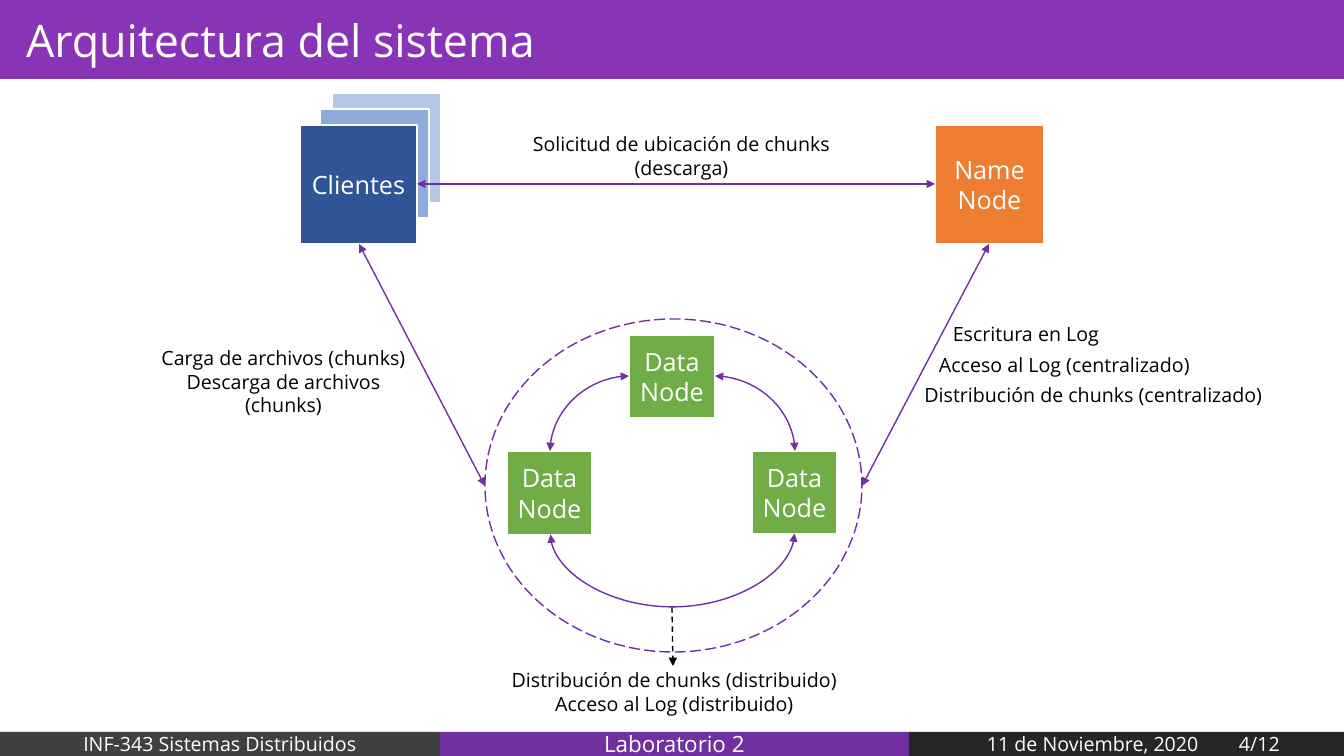
from dataclasses import dataclass

from lxml import etree
from pptx import Presentation
from pptx import util as u
from pptx.dml.color import RGBColor
from pptx.enum import dml, shapes, text
from pptx.oxml.ns import qn

PX = 914400 / 100.8
FONT = "Open Sans"
COLORS = {
    "title": "8834B6", "purple": "7030A0", "gray": "404040", "dark": "262626",
    "white": "FFFFFF", "black": "000000", "data": "70AD47", "name": "ED7D31",
    "back": "B4C7E7", "middle": "8FAADC", "front": "2F5597",
}
LABEL_FORMAT = {"word_wrap": False, "auto_size": text.MSO_AUTO_SIZE.SHAPE_TO_FIT_TEXT}
TITLE_FORMAT = {**LABEL_FORMAT, "word_wrap": True, "vertical_anchor": text.MSO_ANCHOR.TOP}
BLOCK_FORMAT = {"vertical_anchor": text.MSO_ANCHOR.MIDDLE}
CENTER, LEFT = text.PP_ALIGN.CENTER, text.PP_ALIGN.LEFT
STRAIGHT, CURVE = shapes.MSO_CONNECTOR.STRAIGHT, shapes.MSO_CONNECTOR.CURVE


@dataclass
class Block:
    """A filled rectangle with optional text."""
    left: int
    top: int
    width: int
    height: int
    color: str
    lines: tuple = ()
    size: int = 18
    outlined: bool = True


@dataclass
class Label:
    """Free text in a box."""
    left: int
    top: int
    width: int
    lines: tuple


@dataclass
class Arrow:
    """A connector between two points."""
    start: tuple
    end: tuple
    kind: int = STRAIGHT
    color: str = "purple"
    heads: tuple = ("headEnd", "tailEnd")


def px(value: float) -> int:
    """Turn pixels into EMU."""
    return u.Emu(round(value * PX))


def rgb(name: str) -> RGBColor:
    """Look up a named colour."""
    return RGBColor.from_string(COLORS[name])


def write(frame, lines: tuple, size: int, color: str, settings: dict, align=CENTER) -> None:
    """Fill a text frame, one paragraph per line."""
    for key, value in settings.items():
        setattr(frame, key, value)
    frame.text = "\n".join(lines)
    for paragraph in frame.paragraphs:
        paragraph.alignment = align
        font = paragraph.font if not paragraph.runs else paragraph.runs[0].font
        for key, value in {"name": FONT, "size": u.Pt(size)}.items():
            setattr(font, key, value)
        font.color.rgb = rgb(color)


def draw_block(slide, block: Block):
    """Draw a rectangle and its centred text."""
    box = (block.left, block.top, block.width, block.height)
    rect = slide.shapes.add_shape(shapes.MSO_SHAPE.RECTANGLE, *map(px, box))
    rect.shadow.inherit = False
    rect.fill.solid()
    rect.fill.fore_color.rgb = rgb(block.color)
    if block.outlined:
        rect.line.color.rgb = rgb("white")
        rect.line.width = u.Pt(1.5)
    else:
        rect.line.fill.background()
    if block.lines:
        write(rect.text_frame, block.lines, block.size, "white", BLOCK_FORMAT)
    return rect


def draw_label(slide, label: Label) -> None:
    """Draw a text box as high as its lines."""
    height = 11 + 23 * len(label.lines)
    box = slide.shapes.add_textbox(*map(px, (label.left, label.top, label.width, height)))
    write(box.text_frame, label.lines, 14, "black", LABEL_FORMAT)


def draw_arrow(slide, arrow: Arrow):
    """Draw a connector with triangle heads."""
    link = slide.shapes.add_connector(arrow.kind, *map(px, arrow.start + arrow.end))
    link.line.color.rgb = rgb(arrow.color)
    link.line.width = u.Pt(1)
    if arrow.color == "black":
        link.line.dash_style = dml.MSO_LINE.DASH
    properties = link._element.spPr
    for head in arrow.heads:
        etree.SubElement(properties.find(qn("a:ln")), qn(f"a:{head}"), type="triangle")
    etree.SubElement(properties, qn("a:effectLst"))
    return link


def draw_footer_date(bar) -> None:
    """Place the date and the page number on one line with a tab stop."""
    write(bar.text_frame, ("11 de Noviembre, 2020\t4/12",), 14, "white",
          {**BLOCK_FORMAT, "margin_left": 0, "margin_right": 0}, LEFT)
    properties = bar.text_frame.paragraphs[0]._p.get_or_add_pPr()
    properties.set("marL", str(px(78)))
    properties.set("indent", "0")
    stops = etree.SubElement(properties, qn("a:tabLst"))
    etree.SubElement(stops, qn("a:tab"), pos=str(px(361)), algn="l")


def draw_quarter_arc(slide, arrow: Arrow) -> None:
    """Draw a curve that leaves level and arrives upright."""
    arc = draw_arrow(slide, arrow)
    arc._element.spPr.find(qn("a:prstGeom")).set("prst", "curvedConnector2")


def draw_bottom_arc(slide, left: int, right: int, y: int, depth: int) -> None:
    """Draw a curve hanging between two points of equal height."""
    middle, half = (left + right) // 2, (right - left) // 2
    arc = draw_arrow(slide, Arrow((middle + 1, y + half), (middle, y - half), CURVE))
    properties = arc._element.spPr
    properties.find(qn("a:xfrm")).set("rot", "5400000")
    guides = properties.find(qn("a:prstGeom")).get_or_add_avLst()
    etree.SubElement(guides, qn("a:gd"), name="adj1", fmla=f"val {-depth * 100000}")


DATA = ("Data", "Node")
FOOTER = [
    Block(0, 732, 440, 24, "gray", ("INF-343 Sistemas Distribuidos",), 14, False),
    Block(440, 732, 469, 24, "purple", ("Laboratorio 2",), 16, False),
]
NODES = [
    Block(629, 335, 86, 83, "data", DATA),
    Block(935, 125, 109, 119, "name", ("Name Node",)),
    Block(332, 93, 109, 110, "back"),
    Block(320, 109, 109, 109, "middle"),
    Block(300, 125, 117, 119, "front", ("Clientes",)),
    Block(507, 451, 85, 84, "data", DATA),
    Block(752, 451, 85, 83, "data", DATA),
]
ARROWS = [
    Arrow((417, 184), (935, 184)),
    Arrow((359, 244), (485, 486)),
    Arrow((862, 486), (989, 244)),
    Arrow((672, 607), (673, 666), color="black", heads=("tailEnd",)),
]
ARCS = [
    Arrow((715, 376), (795, 451), CURVE),
    Arrow((629, 376), (550, 451), CURVE),
]
LABELS = [
    Label(522, 127, 319, ("Solicitud de ubicación de chunks", "(descarga)")),
    Label(942, 317, 168, ("Escritura en Log",)),
    Label(928, 348, 273, ("Acceso al Log (centralizado)",)),
    Label(911, 378, 365, ("Distribución de chunks (centralizado)",)),
    Label(136, 341, 295, ("Carga de archivos (chunks)", "Descarga de archivos (chunks)")),
    Label(495, 663, 359, ("Distribución de chunks (distribuido)",
                          "Acceso al Log (distribuido)")),
]


def main() -> None:
    """Build and save the slide."""
    deck = Presentation()
    deck.slide_width, deck.slide_height = px(1344), px(756)
    slide = deck.slides.add_slide(deck.slide_layouts[5])

    draw_block(slide, Block(0, 0, 1344, 79, "title", outlined=False))
    heading = slide.shapes.title
    heading.left, heading.top, heading.width, heading.height = map(px, (16, 8, 765, 65))
    write(heading.text_frame, ("Arquitectura del sistema",), 32, "white", TITLE_FORMAT, LEFT)
    slide.shapes._spTree.append(heading._element)

    for block in FOOTER:
        draw_block(slide, block)
    draw_footer_date(draw_block(slide, Block(909, 732, 435, 24, "dark", outlined=False)))

    cluster = slide.shapes.add_shape(shapes.MSO_SHAPE.OVAL, *map(px, (485, 319, 377, 333)))
    cluster.shadow.inherit = False
    cluster.fill.background()
    cluster.line.color.rgb = rgb("purple")
    cluster.line.width = u.Pt(1)
    cluster.line.dash_style = dml.MSO_LINE.LONG_DASH

    for block in NODES:
        draw_block(slide, block)
    for arrow in ARROWS:
        draw_arrow(slide, arrow)
    for arc in ARCS:
        draw_quarter_arc(slide, arc)
    draw_bottom_arc(slide, 550, 795, 534, 73)
    for label in LABELS:
        draw_label(slide, label)
    deck.save("out.pptx")


main()
